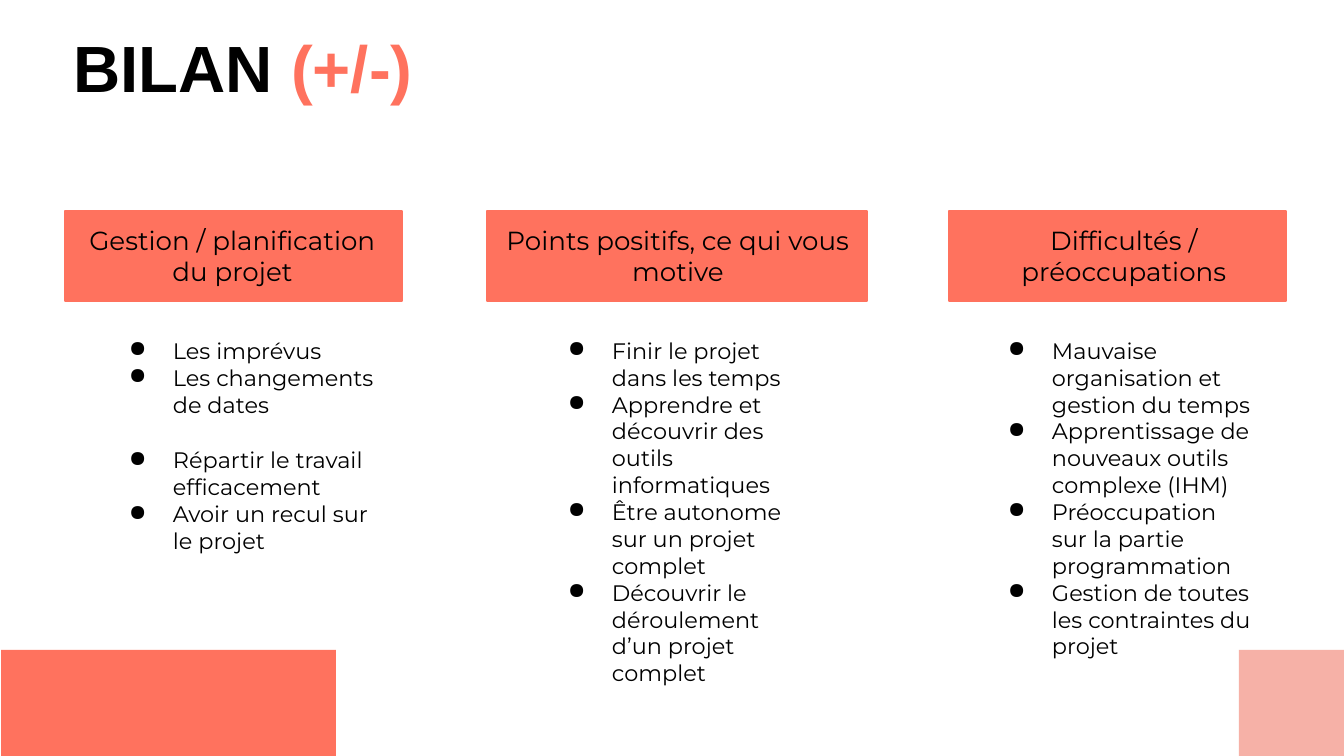
from lxml.etree import SubElement
from pptx import Presentation
from pptx.dml.color import RGBColor
from pptx.enum.shapes import MSO_SHAPE
from pptx.enum.text import MSO_ANCHOR, PP_ALIGN
from pptx.oxml.ns import qn
from pptx.util import Emu, Pt

CORAL, PINK, BLACK = "FF725E", "F6B1A7", "000000"
HEADER_TOP, HEADER_HEIGHT, LIST_TOP = 211, 90, 324

COLUMNS = [
    dict(
        bar=(65, 337), header=(58, 349), body=(93, 309, 245),
        title=["Gestion / planification du projet"],
        items=["Les imprévus", "Les changements de dates",
               "Répartir le travail efficacement", "Avoir un recul sur le projet"],
        gaps={2: 15.5},
    ),
    dict(
        bar=(487, 380), header=(454, 448), body=(532, 292, 376),
        title=["Points positifs, ce qui vous", "motive"],
        items=["Finir le projet dans les temps",
               "Apprendre et découvrir des outils informatiques",
               "Être autonome sur un projet complet",
               "Découvrir le déroulement d’un projet complet"],
        gaps={},
    ),
    dict(
        bar=(949, 337), header=(985, 278), body=(972, 292, 376),
        title=["Difficultés / préoccupations"],
        items=["Mauvaise organisation et gestion du temps",
               "Apprentissage de nouveaux outils complexe (IHM)",
               "Préoccupation sur la partie programmation",
               "Gestion de toutes les contraintes du projet"],
        gaps={},
    ),
]


def px(n):
    """Turn pixels into EMU."""
    return Emu(round(n * 914400 / 134.4))


def color(value):
    """Turn a hex string into a colour."""
    return RGBColor.from_string(value)


def add_rect(s, x, y, w, h, fill, outlined=False):
    """Draw a filled rectangle, with an outline of the same colour if asked."""
    sp = s.shapes.add_shape(MSO_SHAPE.RECTANGLE, px(x), px(y), px(w), px(h))
    sp.shadow.inherit = False
    sp.fill.solid()
    sp.fill.fore_color.rgb = color(fill)
    if outlined:
        sp.line.color.rgb = color(fill)
        sp.line.width = Pt(0.75)
    else:
        sp.line.fill.background()


def add_box(s, x, y, w, h):
    """Add an empty wrapping text box and return its text frame."""
    tf = s.shapes.add_textbox(px(x), px(y), px(w), px(h)).text_frame
    tf.word_wrap = True
    tf.vertical_anchor = MSO_ANCHOR.TOP
    tf.margin_left = tf.margin_right = tf.margin_top = tf.margin_bottom = px(13)
    return tf


def add_run(p, text, size=12, font="Montserrat", fill=BLACK, bold=False):
    """Append a formatted run to a paragraph."""
    r = p.add_run()
    r.text = text
    r.font.size = Pt(size)
    r.font.name = font
    r.font.bold = bold
    r.font.color.rgb = color(fill)


def add_bullet(p):
    """Give a paragraph a round black bullet with a hanging indent."""
    pPr = p._p.get_or_add_pPr()
    pPr.set("marL", str(px(67)))
    pPr.set("indent", str(px(-44)))
    SubElement(SubElement(pPr, qn("a:buClr")), qn("a:srgbClr"), val=BLACK)
    SubElement(pPr, qn("a:buChar"), char="●")


def add_paragraphs(tf, texts):
    """Yield one paragraph of the frame with each text."""
    for i, text in enumerate(texts):
        yield (tf.add_paragraph() if i else tf.paragraphs[0]), text


def add_title(s):
    """Write the two-colour slide title."""
    p = add_box(s, 60, 23, 762, 165).paragraphs[0]
    p.line_spacing = 0.9
    for text, fill in (("BILAN ", BLACK), ("(+/-)", CORAL)):
        add_run(p, text, size=35, font="Arial", fill=fill, bold=True)


def add_header(s, bar, header, title):
    """Draw a column's bar with its centred heading."""
    for_bar, for_text = [(x, HEADER_TOP, w, HEADER_HEIGHT) for x, w in (bar, header)]
    add_rect(s, *for_bar, CORAL, outlined=True)
    for p, text in add_paragraphs(add_box(s, *for_text), title):
        p.alignment = PP_ALIGN.CENTER
        add_run(p, text, size=14)


def add_list(s, body, items, gaps):
    """Write a column's bullets, with extra space before some of them."""
    x, w, h = body
    tf = add_box(s, x, LIST_TOP, w, h)
    for i, (p, text) in enumerate(add_paragraphs(tf, items)):
        add_bullet(p)
        if i in gaps:
            p.space_before = Pt(gaps[i])
        add_run(p, text)


def main():
    """Build the slide and save it."""
    prs = Presentation()
    prs.slide_width, prs.slide_height = px(1344), px(756)
    s = prs.slides.add_slide(prs.slide_layouts[6])
    add_rect(s, 1, 650, 335, 106, CORAL)
    add_rect(s, 1239, 650, 105, 106, PINK)
    add_title(s)
    for column in COLUMNS:
        add_header(s, column["bar"], column["header"], column["title"])
        add_list(s, column["body"], column["items"], column["gaps"])
    prs.save("out.pptx")


if __name__ == "__main__":
    main()
